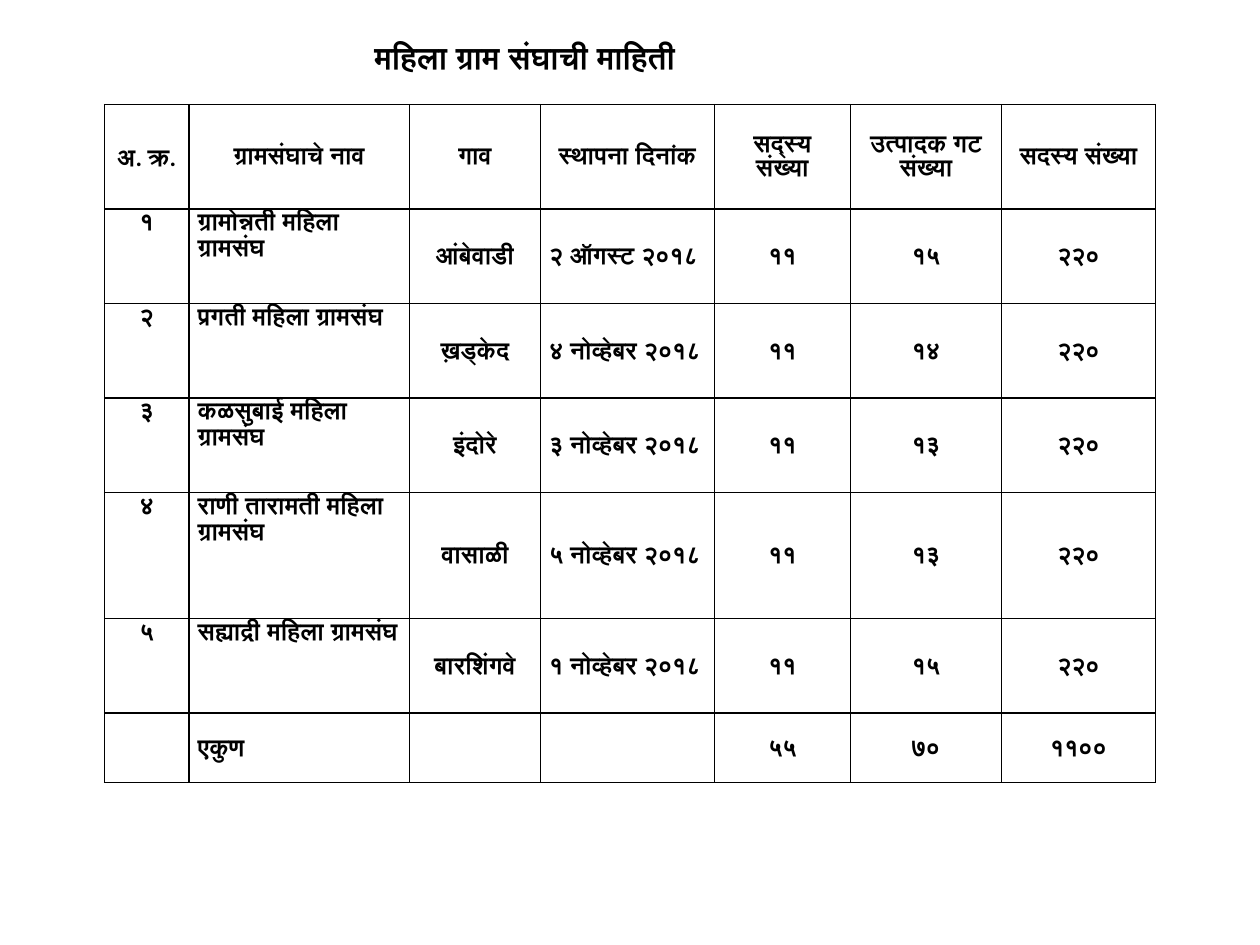
from lxml.etree import SubElement
from pptx import Presentation
from pptx.dml.color import RGBColor
from pptx.enum.text import MSO_ANCHOR, PP_ALIGN
from pptx.oxml.ns import qn
from pptx.util import Inches, Pt

BLACK = RGBColor(0x00, 0x00, 0x00)
FONT = "Calibri"
BORDER_WIDTH = Pt(1)

COLUMN_WIDTHS = [0.67, 1.75, 1.04, 1.38, 1.08, 1.2, 1.22]
ROW_HEIGHTS = [0.83, 0.75, 0.75, 0.75, 1, 0.75, 0.55]
SERIAL, NAME, DATE = 0, 1, 3

HEADINGS = ["अ. क्र.", "ग्रामसंघाचे नाव", "गाव", "स्थापना दिनांक",
            "सद्स्य\nसंख्या", "उत्पादक गट संख्या", "सदस्य संख्या"]
FEDERATIONS = [
    ["१", "ग्रामोन्नती महिला ग्रामसंघ", "आंबेवाडी", "२ ऑगस्ट २०१८", "११", "१५", "२२०"],
    ["२", "प्रगती महिला ग्रामसंघ", "ख़ड्केद", "४ नोव्हेबर २०१८", "११", "१४", "२२०"],
    ["३", "कळसुबाई महिला ग्रामसंघ", "इंदोरे", "३ नोव्हेबर २०१८", "११", "१३", "२२०"],
    ["४", "राणी तारामती महिला ग्रामसंघ", "वासाळी", "५ नोव्हेबर २०१८", "११", "१३", "२२०"],
    ["५", "सह्याद्री महिला ग्रामसंघ", "बारशिंगवे", "१ नोव्हेबर २०१८", "११", "१५", "२२०"],
]
TOTALS = ["", "एकुण", "", "", "५५", "७०", "११००"]


def format_text(text_frame, size, align, line_spacing=None):
    for paragraph in text_frame.paragraphs:
        paragraph.alignment = align
        paragraph.line_spacing = line_spacing
        for run in paragraph.runs:
            run.font.name = FONT
            run.font.size = Pt(size)
            run.font.bold = True
            run.font.color.rgb = BLACK


def add_borders(cell):
    properties = cell._tc.get_or_add_tcPr()
    for side in ("a:lnL", "a:lnR", "a:lnT", "a:lnB"):
        line = SubElement(properties, qn(side), w=str(BORDER_WIDTH))
        fill = SubElement(line, qn("a:solidFill"))
        SubElement(fill, qn("a:srgbClr"), val=str(BLACK))


def add_title(slide, left, top, width, height):
    title = slide.shapes.add_textbox(left, top, width, height).text_frame
    title.word_wrap = True
    title.text = "महिला ग्राम संघाची माहिती"
    format_text(title, 18, PP_ALIGN.CENTER)


def fill_cell(cell, text, row, column):
    is_heading = row == 0
    is_federation = 0 < row <= len(FEDERATIONS)
    add_borders(cell)
    cell.fill.background()
    cell.text = text

    # Serial numbers and names of the federations sit at the top
    at_top = is_federation and column in (SERIAL, NAME)
    cell.vertical_anchor = MSO_ANCHOR.TOP if at_top else MSO_ANCHOR.MIDDLE

    # Headings after the first keep the default margins and spacing
    line_spacing = None
    if not is_heading or column == SERIAL:
        cell.margin_left = cell.margin_right = Inches(0.07)
        cell.margin_top = cell.margin_bottom = 0
        line_spacing = 1.07

    at_left = not is_heading and column in (NAME, DATE)
    format_text(cell.text_frame, 14,
                PP_ALIGN.LEFT if at_left else PP_ALIGN.CENTER, line_spacing)


def add_federation_table(slide, left, top, width, height):
    rows = [HEADINGS, *FEDERATIONS, TOTALS]
    table = slide.shapes.add_table(
        len(rows), len(HEADINGS), left, top, width, height).table
    table.first_row = table.horz_banding = False
    for column, column_width in zip(table.columns, COLUMN_WIDTHS):
        column.width = Inches(column_width)
    for row, row_height in zip(table.rows, ROW_HEIGHTS):
        row.height = Inches(row_height)
    for r, texts in enumerate(rows):
        for c, text in enumerate(texts):
            fill_cell(table.cell(r, c), text, r, c)


def main():
    presentation = Presentation()
    presentation.slide_width = Inches(10)
    presentation.slide_height = Inches(7.5)
    slide = presentation.slides.add_slide(presentation.slide_layouts[6])
    add_federation_table(slide, Inches(0.83), Inches(0.83), Inches(8.33), Inches(5.38))
    add_title(slide, Inches(2.25), Inches(0.25), Inches(3.83), Inches(0.42))
    presentation.save("out.pptx")


if __name__ == "__main__":
    main()
